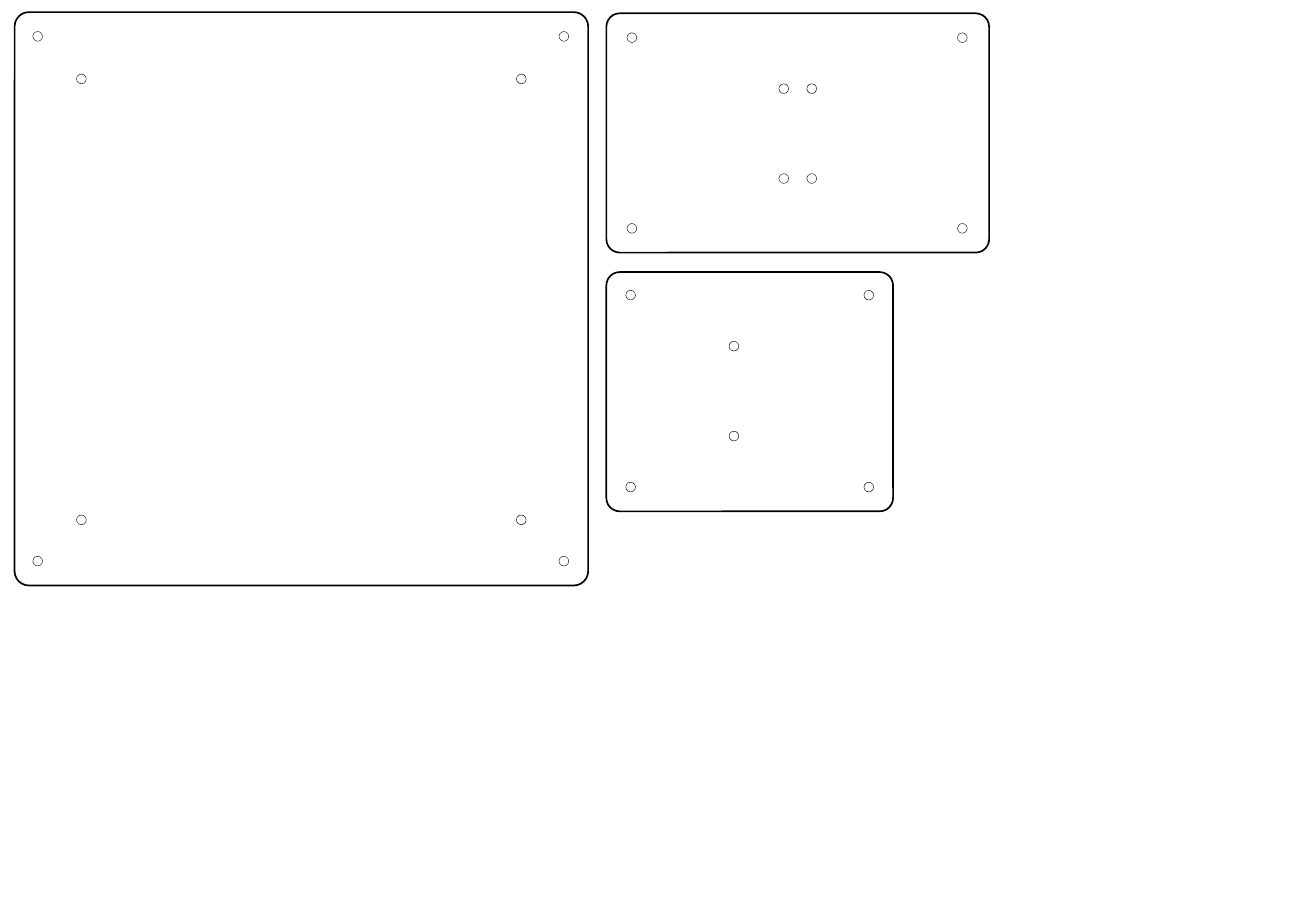
from itertools import product

from pptx import Presentation
from pptx.dml.color import RGBColor
from pptx.enum.shapes import MSO_SHAPE
from pptx.util import Inches, Pt

ROUNDED = MSO_SHAPE.ROUNDED_RECTANGLE
OVAL = MSO_SHAPE.OVAL
BLACK = RGBColor(0x00, 0x00, 0x00)
BLANK_LAYOUT = 6

# Each plate: left, top, width, height, corner ratio, and its hole grids
# as (column lefts, row tops).
PLATES = [
    (4.99, 0.11, 3.15, 1.97, 0.056,
     [((5.16, 7.88), (0.27, 1.84)), ((6.41, 6.64), (0.69, 1.43))]),
    (0.12, 0.10, 4.72, 4.72, 0.025,
     [((0.63, 4.25), (0.61, 4.24)), ((0.27, 4.60), (0.26, 4.58))]),
    (4.99, 2.24, 2.36, 1.97, 0.056,
     [((6.00,), (2.81, 3.55)), ((5.15, 7.11), (2.39, 3.97))]),
]


class PlateDrawing:
    line_color = BLACK
    edge_width = Pt(1)
    hole_width = Pt(0.25)
    hole_size = 0.08

    def __init__(self, slide):
        self.slide = slide

    def outline(self, group, kind, left, top, width, height, line_width):
        """Add an unfilled shape to the group."""
        sp = group.shapes.add_shape(
            kind, Inches(left), Inches(top), Inches(width), Inches(height))
        sp.shadow.inherit = False
        sp.fill.background()
        sp.line.color.rgb = self.line_color
        sp.line.width = line_width
        return sp

    def hole(self, group, left, top):
        self.outline(group, OVAL, left, top,
                     self.hole_size, self.hole_size, self.hole_width)

    def plate(self, left, top, width, height, corner, hole_grids):
        """Add a grouped plate with a hole at each crossing of its grids."""
        group = self.slide.shapes.add_group_shape()
        edge = self.outline(group, ROUNDED, left, top, width, height,
                            self.edge_width)
        edge.adjustments[0] = corner
        for columns, rows in hole_grids:
            for x, y in product(columns, rows):
                self.hole(group, x, y)


def main():
    prs = Presentation()
    prs.slide_width = Inches(10.83)
    prs.slide_height = Inches(7.5)
    drawing = PlateDrawing(prs.slides.add_slide(prs.slide_layouts[BLANK_LAYOUT]))
    for plate in PLATES:
        drawing.plate(*plate)
    prs.save("out.pptx")


if __name__ == "__main__":
    main()
